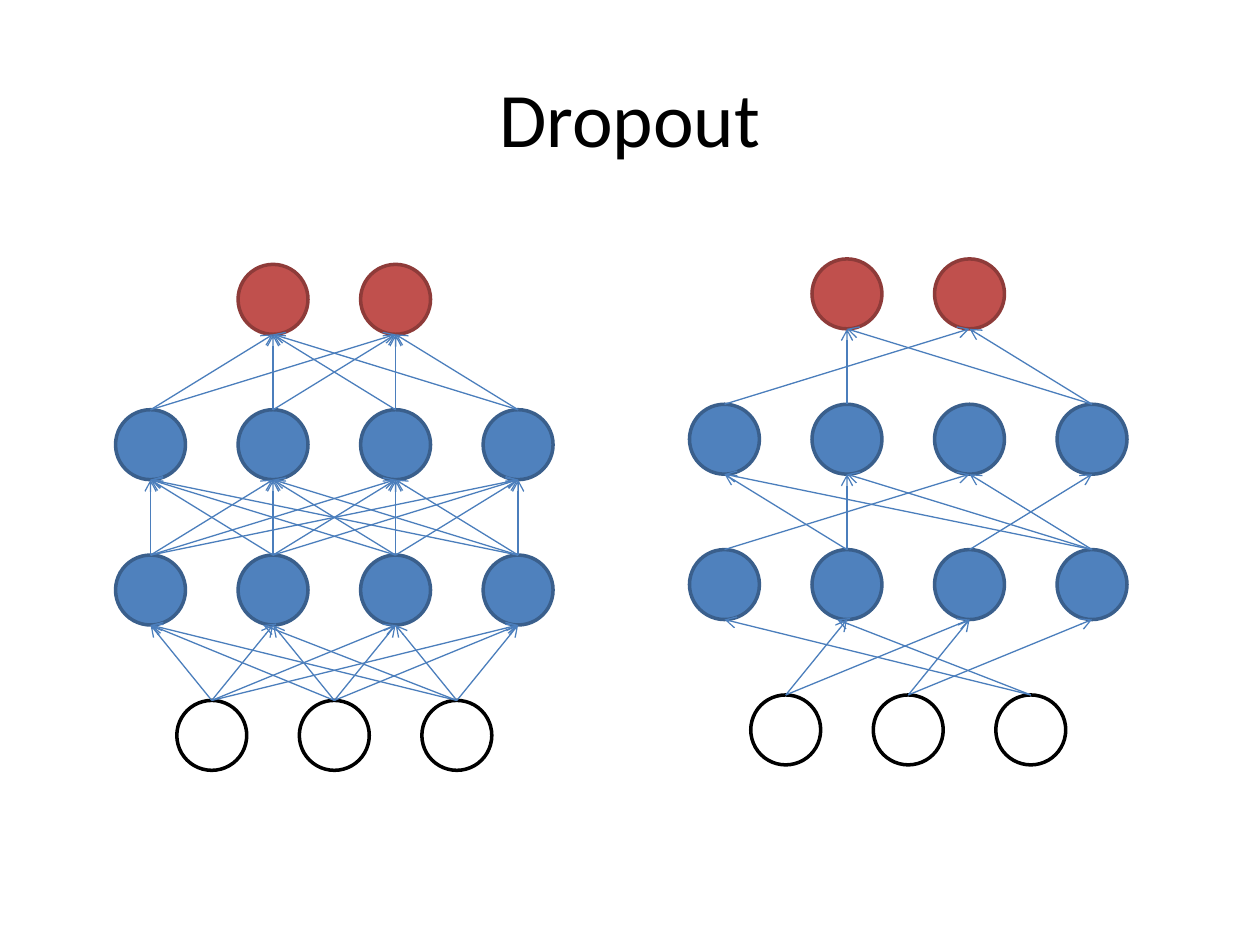
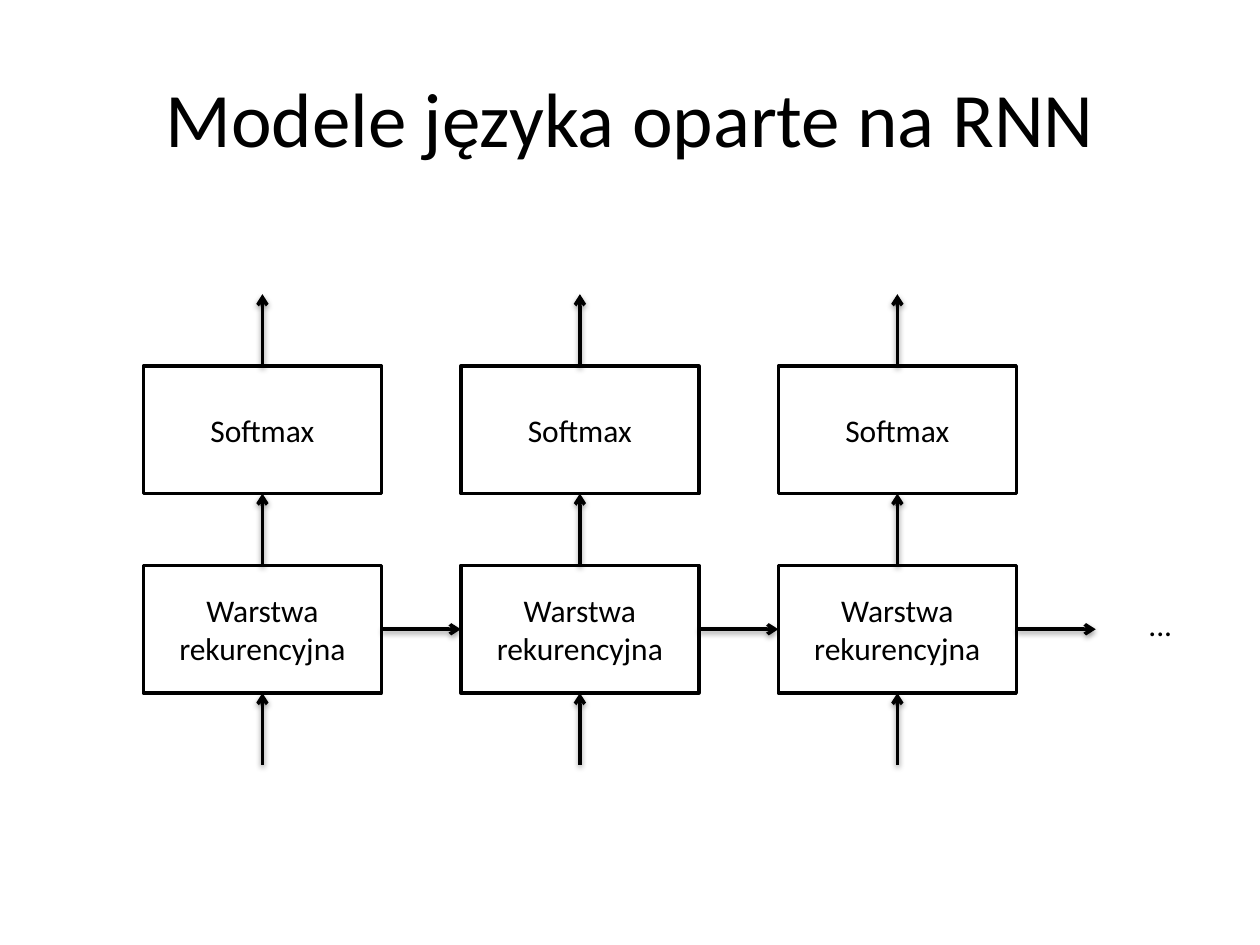
from dataclasses import dataclass
from itertools import product

from lxml.etree import SubElement
from pptx import Presentation
from pptx.dml.color import RGBColor
from pptx.enum.shapes import MSO_CONNECTOR as Connector, MSO_SHAPE as Shape
from pptx.enum.text import MSO_ANCHOR as Anchor, PP_ALIGN as Align
from pptx.oxml.ns import qn
from pptx.util import Cm, Pt

COLOURS = {
    "ink": "000000",
    "paper": "FFFFFF",
    "hidden": "4F81BD",
    "hidden_edge": "3A5F8C",
    "output": "C0504D",
    "output_edge": "8E3B39",
    "link": "4B7EBC",
}
FONT = "Calibri"
TITLE_ONLY = 5
NODE = 1.41
STEP_WIDTH, STEP_HEIGHT = 4.8, 2.57
LAYERS = [
    (3, "paper", "ink"),
    (4, "hidden", "hidden_edge"),
    (4, "hidden", "hidden_edge"),
    (2, "output", "output_edge"),
]
ALL_LINKS = [list(product(range(low[0]), range(high[0]))) for low, high in zip(LAYERS, LAYERS[1:])]
KEPT_LINKS = [
    [(0, 1), (0, 2), (1, 2), (1, 3), (2, 0), (2, 1)],
    [(0, 2), (1, 0), (1, 1), (2, 3), (3, 0), (3, 1), (3, 2)],
    [(0, 1), (1, 0), (3, 0), (3, 1)],
]
SHIFTED_LINK = (0, 2, 1)


@dataclass
class Box:
    """A rectangle in centimetres."""
    left: float
    top: float
    width: float
    height: float

    @property
    def centre(self):
        """Return the horizontal middle."""
        return self.left + self.width / 2

    @property
    def middle(self):
        """Return the vertical middle."""
        return self.top + self.height / 2

    @property
    def right(self):
        """Return the right edge."""
        return self.left + self.width

    @property
    def bottom(self):
        """Return the bottom edge."""
        return self.top + self.height

    def lengths(self):
        """Return the four measures as slide lengths."""
        return [Cm(side) for side in (self.left, self.top, self.width, self.height)]


def colour(name):
    """Look up a named colour."""
    return RGBColor.from_string(COLOURS[name])


def write(shape, text, size=18, align=Align.CENTER, anchor=Anchor.MIDDLE, wrap=True):
    """Put formatted text into a shape."""
    frame = shape.text_frame
    frame.word_wrap = wrap
    frame.vertical_anchor = anchor
    para = frame.paragraphs[0]
    para.alignment = align
    span = para.add_run()
    span.text = text
    span.font.name = FONT
    span.font.size = Pt(size)
    span.font.color.rgb = colour("ink")


def draw_shape(page, kind, box, fill="paper", edge="ink"):
    """Add a flat preset shape with a two-point outline."""
    shape = page.shapes.add_shape(kind, *box.lengths())
    shape.shadow.inherit = False
    shape.fill.solid()
    shape.fill.fore_color.rgb = colour(fill)
    shape.line.color.rgb = colour(edge)
    shape.line.width = Pt(2)
    return shape


def draw_arrow(page, start, end, edge="ink", width=2, shadow=True):
    """Add a straight arrow between two points."""
    ends = [Cm(place) for place in (*start, *end)]
    arrow = page.shapes.add_connector(Connector.STRAIGHT, *ends)
    arrow.line.color.rgb = colour(edge)
    arrow.line.width = Pt(width)
    properties = arrow.element.spPr
    SubElement(properties.find(qn("a:ln")), qn("a:tailEnd"), type="arrow")
    effects = SubElement(properties, qn("a:effectLst"))
    if shadow:
        outer = SubElement(effects, qn("a:outerShdw"), blurRad="40000", dist="20000",
                           dir="5400000", rotWithShape="0")
        tint = SubElement(outer, qn("a:srgbClr"), val=COLOURS["ink"])
        SubElement(tint, qn("a:alpha"), val="38000")


def add_page(deck, title):
    """Add a title-only slide and format its title."""
    page = deck.slides.add_slide(deck.slide_layouts[TITLE_ONLY])
    holder = page.shapes.title
    holder.left, holder.top, holder.width, holder.height = Box(1.27, 0.76, 22.86, 3.18).lengths()
    write(holder, title, size=44)
    return page


def draw_network(page, box, links):
    """Draw a layered network, inputs at the bottom, with the given links."""
    column_step = (box.width - NODE) / (max(layer[0] for layer in LAYERS) - 1)
    row_step = (box.height - NODE) / (len(LAYERS) - 1)
    rows = []
    for level, (count, fill, edge) in enumerate(LAYERS):
        left = box.centre - (column_step * (count - 1) + NODE) / 2
        top = box.bottom - NODE - level * row_step
        row = [Box(left + index * column_step, top, NODE, NODE) for index in range(count)]
        for node in row:
            draw_shape(page, Shape.OVAL, node, fill, edge)
        rows.append(row)
    for level, pairs in enumerate(links):
        for source, target in pairs:
            low, high = rows[level][source], rows[level + 1][target]
            shift = 0.2 if (level, source, target) == SHIFTED_LINK else 0
            draw_arrow(page, (low.centre, low.top), (high.centre - shift, high.bottom),
                       edge="link", width=0.75, shadow=False)


def draw_time_step(page, box, gap):
    """Draw one recurrent step and return the end of its sideways arrow."""
    rise = (box.height - 2 * STEP_HEIGHT) / 3
    softmax = Box(box.left, box.top + rise, box.width, STEP_HEIGHT)
    recurrent = Box(box.left, softmax.bottom + rise, box.width, STEP_HEIGHT)
    for part, label in ((softmax, "Softmax"), (recurrent, "Warstwa rekurencyjna")):
        write(draw_shape(page, Shape.RECTANGLE, part), label)
    for foot in (box.bottom, recurrent.top, softmax.top):
        draw_arrow(page, (box.centre, foot), (box.centre, foot - rise))
    end = (box.right + gap, recurrent.middle)
    draw_arrow(page, (box.right, recurrent.middle), end)
    return end


def draw_sequence(page, box, steps=3):
    """Draw the unrolled steps followed by dots."""
    gap = box.width / steps - STEP_WIDTH
    for index in range(steps):
        left = box.left + index * (STEP_WIDTH + gap)
        end = draw_time_step(page, Box(left, box.top, STEP_WIDTH, box.height), gap)
    dots = Box(end[0] + 0.81, end[1] - 0.62, 1, 1.02)
    write(page.shapes.add_textbox(*dots.lengths()), "...",
          align=Align.LEFT, anchor=Anchor.TOP, wrap=False)


def main():
    """Build and save the deck."""
    deck = Presentation()
    deck.slide_width, deck.slide_height = Cm(25.4), Cm(19.05)
    page = add_page(deck, "Dropout")
    draw_network(page, Box(2.33, 5.33, 8.82, 10.2), ALL_LINKS)
    draw_network(page, Box(13.9, 5.22, 8.82, 10.2), KEPT_LINKS)
    page = add_page(deck, "Modele języka oparte na RNN")
    draw_sequence(page, Box(2.89, 5.93, 19.2, 9.49))
    deck.save("out.pptx")


if __name__ == "__main__":
    main()
